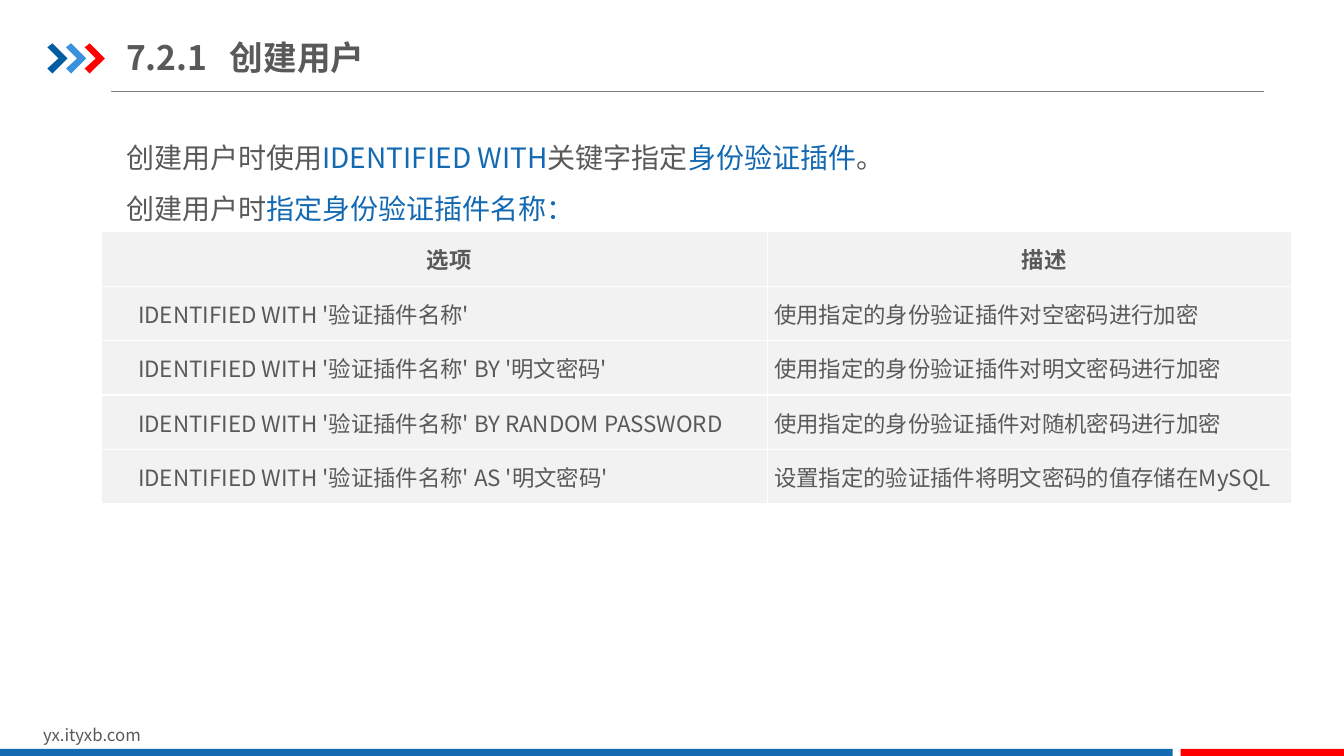
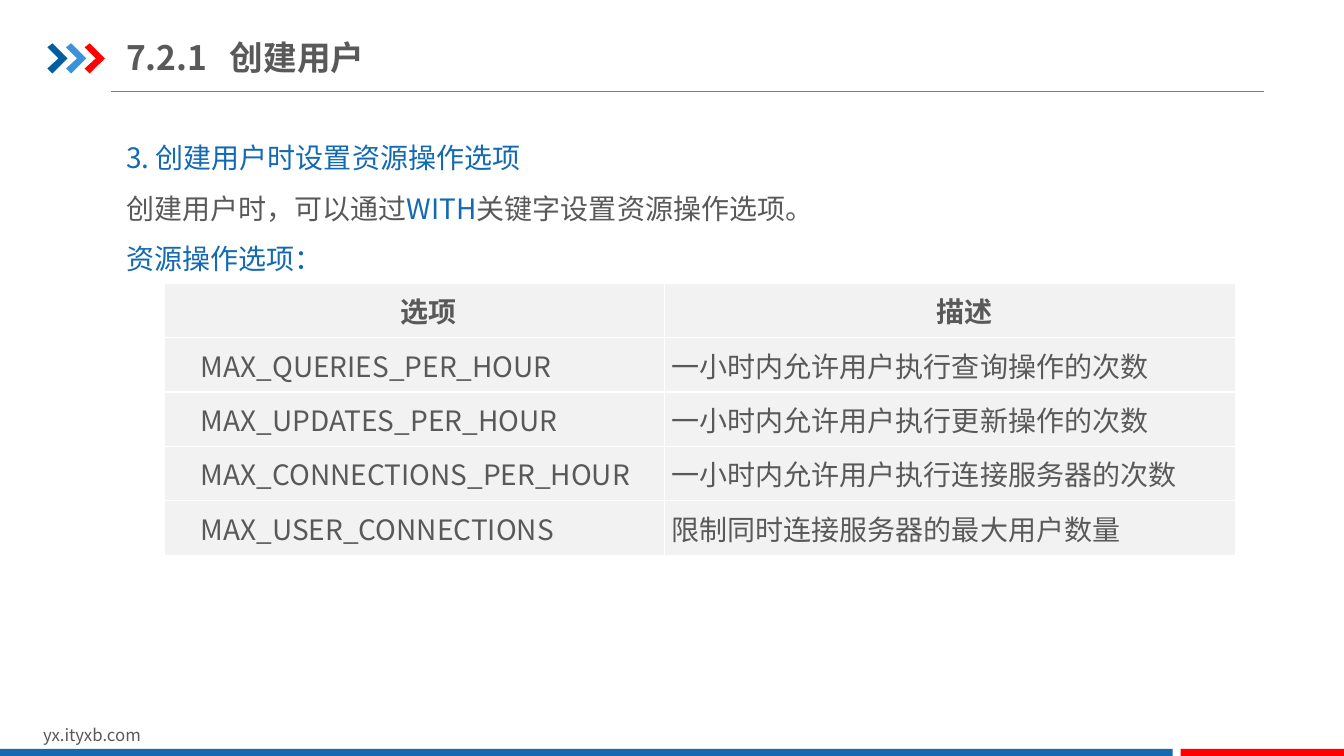
from dataclasses import dataclass
from typing import NamedTuple

from lxml import etree
from pptx import Presentation
from pptx.dml.color import RGBColor
from pptx.enum import shapes, text
from pptx.oxml import ns
from pptx.util import Inches, Pt


@dataclass(frozen=True)
class Theme:
    font: str = "Noto Sans CJK SC"
    ink: str = "595959"
    blue: str = "1369B2"
    navy: str = "005DA2"
    sky: str = "3992DB"
    red: str = "FF0000"
    rule: str = "808080"
    cell: str = "F2F2F2"
    edge: str = "FFFFFF"
    head: int = 24
    body: int = 20
    small: int = 16
    foot: int = 12


THEME = Theme()


class Bit(NamedTuple):
    """A run of text; key words are blue."""
    words: str
    key: bool = False


class Bar(NamedTuple):
    left: float
    width: float
    color: str


@dataclass(frozen=True)
class Grid:
    left: float
    top: float
    cols: tuple[float, float]
    size: int
    rows: list[tuple[str, str]]


@dataclass(frozen=True)
class Page:
    title: str
    lines: list[list[Bit]]
    grid: Grid


BARS = [Bar(0, 11.63, THEME.blue), Bar(11.71, 1.62, THEME.red)]
ARROWS = [THEME.navy, THEME.sky, THEME.red]
CHEVRON = [(0, .04), (.05, 0), (.2, .15), (.05, .3), (0, .25), (.11, .15)]
ROW = 0.54
HEADER = ("选项", "描述")
TITLE = "7.2.1\t创建用户"

PAGES = [
    Page(
        TITLE,
        [
            [Bit("创建用户时使用"), Bit("IDENTIFIED WITH", True),
             Bit("关键字指定"), Bit("身份验证插件", True), Bit("。")],
            [Bit("创建用户时"), Bit("指定身份验证插件名称：", True)],
        ],
        Grid(1.01, 2.3, (6.6, 5.2), THEME.small, [
            HEADER,
            ("IDENTIFIED WITH '验证插件名称'",
             "使用指定的身份验证插件对空密码进行加密"),
            ("IDENTIFIED WITH '验证插件名称' BY '明文密码'",
             "使用指定的身份验证插件对明文密码进行加密"),
            ("IDENTIFIED WITH '验证插件名称' BY RANDOM PASSWORD",
             "使用指定的身份验证插件对随机密码进行加密"),
            ("IDENTIFIED WITH '验证插件名称' AS '明文密码'",
             "设置指定的验证插件将明文密码的值存储在MySQL"),
        ]),
    ),
    Page(
        TITLE,
        [
            [Bit("3. 创建用户时设置资源操作选项", True)],
            [Bit("创建用户时，可以通过"), Bit("WITH", True),
             Bit("关键字设置资源操作选项。")],
            [Bit("资源操作选项：", True)],
        ],
        Grid(1.63, 2.81, (4.96, 5.67), THEME.body, [
            HEADER,
            ("MAX_QUERIES_PER_HOUR", "一小时内允许用户执行查询操作的次数"),
            ("MAX_UPDATES_PER_HOUR", "一小时内允许用户执行更新操作的次数"),
            ("MAX_CONNECTIONS_PER_HOUR", "一小时内允许用户执行连接服务器的次数"),
            ("MAX_USER_CONNECTIONS", "限制同时连接服务器的最大用户数量"),
        ]),
    ),
]


# Text and colour helpers
def rgb(color: str) -> RGBColor:
    return RGBColor.from_string(color)


def sub(node, tag: str, **attrs):
    return etree.SubElement(node, ns.qn(tag), **attrs)


def add_run(para, words: str, size: int, color: str = THEME.ink,
            bold: bool = False) -> None:
    run = para.add_run()
    run.text = words
    font = run.font
    font.size, font.bold, font.name = Pt(size), bold, THEME.font
    font.color.rgb = rgb(color)
    sub(font._element, "a:ea", typeface=THEME.font)


def indent(para, first: float) -> None:
    props = para._p.get_or_add_pPr()
    props.set("marL", "0")
    props.set("indent", str(Inches(first)))


def place(shape, left: float, top: float, width: float, height: float) -> None:
    shape.left, shape.top = Inches(left), Inches(top)
    shape.width, shape.height = Inches(width), Inches(height)


def paint(shape, color: str) -> None:
    shape.fill.solid()
    shape.fill.fore_color.rgb = rgb(color)
    shape.line.fill.background()
    shape.shadow.inherit = False


# Parts shared by every slide
def add_frame(slide) -> None:
    tree = slide.shapes
    rule = tree.add_connector(shapes.MSO_CONNECTOR.STRAIGHT, Inches(1.1),
                              Inches(.91), Inches(12.54), Inches(.91))
    rule.line.color.rgb = rgb(THEME.rule)
    rule.line.width = Pt(0.75)
    sub(rule._element.spPr, "a:effectLst")

    group = tree.add_group_shape()
    for i, color in enumerate(ARROWS):
        dots = [(Inches(.47 + .37 * i / 2 + x), Inches(.43 + y))
                for x, y in CHEVRON]
        pen = group.shapes.build_freeform(*dots[0])
        pen.add_line_segments(dots[1:], close=True)
        paint(pen.convert_to_shape(), color)

    foot = tree.add_textbox(Inches(.33), Inches(7.14), Inches(3.18), Inches(.3))
    foot.text_frame.word_wrap = True
    add_run(foot.text_frame.paragraphs[0], "yx.ityxb.com", THEME.foot)

    for bar in BARS:
        box = tree.add_shape(shapes.MSO_SHAPE.RECTANGLE, Inches(bar.left),
                             Inches(7.43), Inches(bar.width), Inches(.07))
        paint(box, bar.color)


def set_title(slide, words: str) -> None:
    title = slide.shapes.title
    place(title, 1.25, .29, 4.26, .55)
    frame = title.text_frame
    frame.auto_size = text.MSO_AUTO_SIZE.NONE
    frame.vertical_anchor = text.MSO_ANCHOR.MIDDLE
    frame.margin_left = frame.margin_right = 0
    para = frame.paragraphs[0]
    para.alignment = text.PP_ALIGN.LEFT
    tabs = sub(para._p.get_or_add_pPr(), "a:tabLst")
    sub(tabs, "a:tab", pos=str(Inches(1.03)), algn="l")
    add_run(para, words, THEME.head, bold=True)


def set_body(slide, lines: list[list[Bit]]) -> None:
    body = slide.placeholders[1]
    place(body, 1.15, 1.18, 11.1, .1 + .5 * len(lines))
    frame = body.text_frame
    frame.auto_size = text.MSO_AUTO_SIZE.NONE
    for i, line in enumerate(lines):
        para = frame.add_paragraph() if i else frame.paragraphs[0]
        indent(para, 0)
        sub(para._p.get_or_add_pPr(), "a:buNone")
        para.line_spacing = 1.5
        para.space_before = Pt(0)
        for bit in line:
            add_run(para, bit.words, THEME.body,
                    THEME.blue if bit.key else THEME.ink)


# Option table
def set_edges(cell) -> None:
    props = cell._tc.get_or_add_tcPr()
    for i, side in enumerate(("a:lnL", "a:lnR", "a:lnT", "a:lnB")):
        edge = etree.Element(ns.qn(side), w=str(Pt(1)))
        sub(sub(edge, "a:solidFill"), "a:srgbClr", val=THEME.edge)
        props.insert(i, edge)


def add_grid(slide, grid: Grid) -> None:
    count = len(grid.rows)
    table = slide.shapes.add_table(
        count, len(grid.cols), Inches(grid.left), Inches(grid.top),
        Inches(sum(grid.cols)), Inches(ROW * count)).table
    table.first_row = table.horz_banding = False
    for col, width in zip(table.columns, grid.cols):
        col.width = Inches(width)
    for r, row in enumerate(grid.rows):
        table.rows[r].height = Inches(ROW)
        for c, words in enumerate(row):
            cell = table.cell(r, c)
            cell.fill.solid()
            cell.fill.fore_color.rgb = rgb(THEME.cell)
            set_edges(cell)
            cell.vertical_anchor = text.MSO_ANCHOR.MIDDLE
            cell.margin_left = cell.margin_right = Inches(.07)
            cell.margin_top = cell.margin_bottom = 0
            para = cell.text_frame.paragraphs[0]
            head = r == 0
            if head:
                para.alignment = text.PP_ALIGN.CENTER
            indent(para, .29 if head or c == 0 else 0)
            add_run(para, words, grid.size, bold=head)


def main() -> None:
    deck = Presentation()
    deck.slide_width, deck.slide_height = Inches(13.33), Inches(7.5)
    for page in PAGES:
        slide = deck.slides.add_slide(deck.slide_layouts[1])
        add_frame(slide)
        set_body(slide, page.lines)
        set_title(slide, page.title)
        add_grid(slide, page.grid)
    deck.save("out.pptx")


if __name__ == "__main__":
    main()
